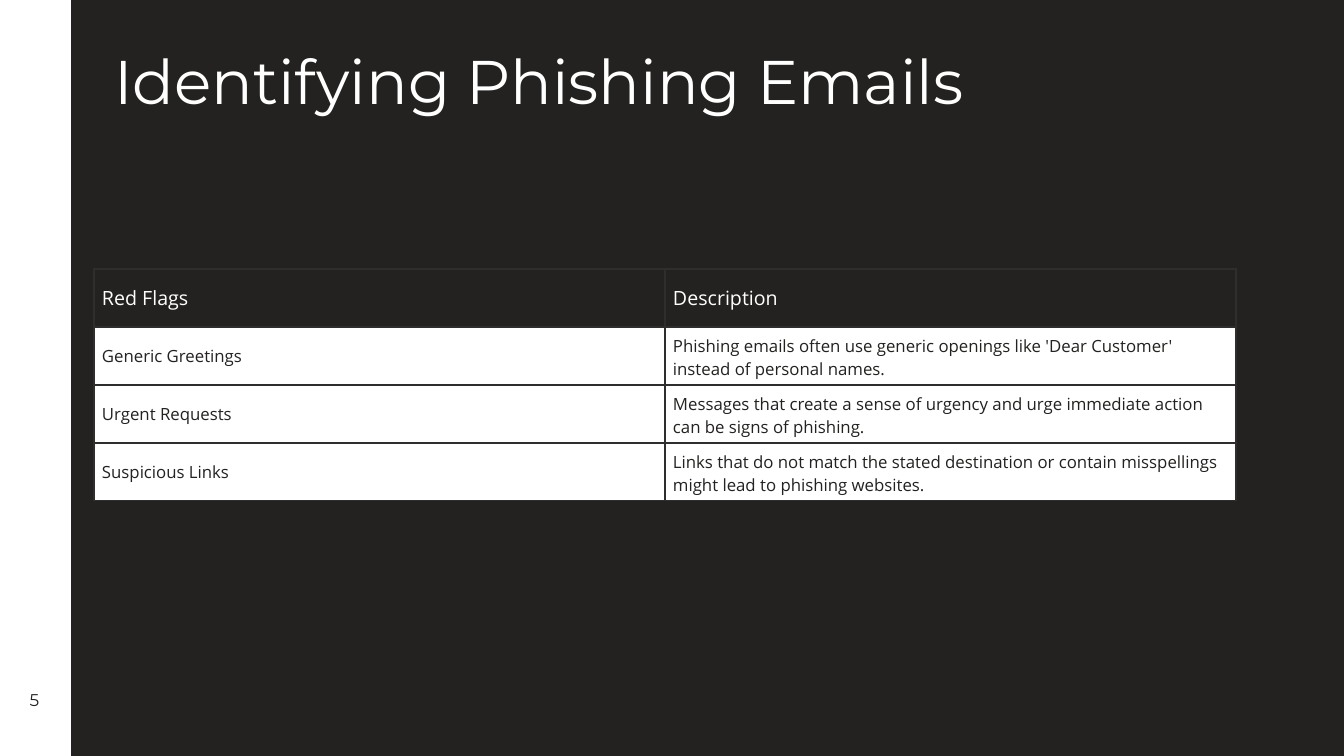
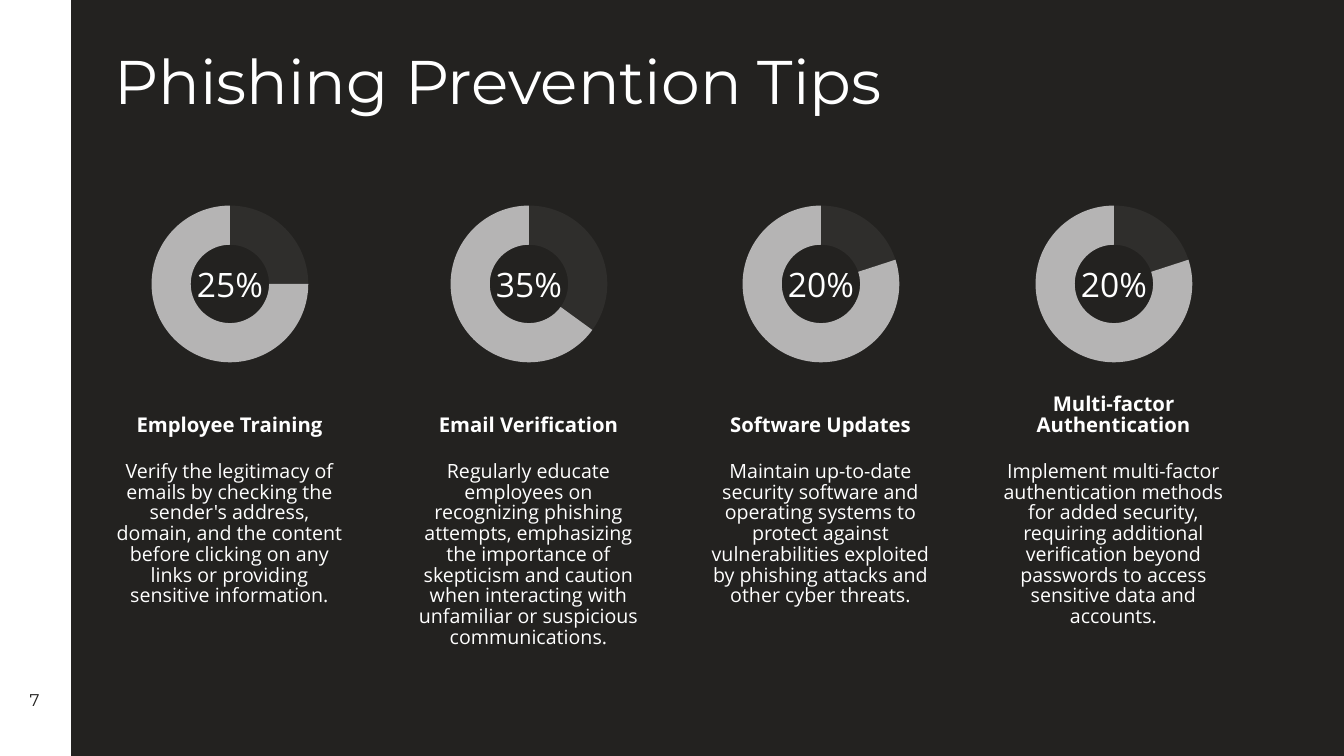
from dataclasses import dataclass

from pptx import Presentation
from pptx.chart.data import CategoryChartData
from pptx.dml.color import RGBColor
from pptx.enum.chart import XL_CHART_TYPE
from pptx.enum.shapes import MSO_CONNECTOR, MSO_SHAPE
from pptx.enum.text import MSO_ANCHOR, PP_ALIGN
from pptx.oxml import parse_xml
from pptx.oxml.ns import nsdecls, qn
from pptx.util import Emu, Pt

DOUGHNUT = XL_CHART_TYPE.DOUGHNUT
STRAIGHT = MSO_CONNECTOR.STRAIGHT
RECTANGLE = MSO_SHAPE.RECTANGLE
TOP, MIDDLE, BOTTOM = MSO_ANCHOR.TOP, MSO_ANCHOR.MIDDLE, MSO_ANCHOR.BOTTOM
LEFT, CENTER = PP_ALIGN.LEFT, PP_ALIGN.CENTER


@dataclass(frozen=True)
class Theme:
    dark: str = "232220"
    light: str = "FFFFFF"
    border: str = "2F2E2C"
    share: str = "2F2E2C"
    remainder: str = "B5B4B4"
    heading_font: str = "Montserrat"
    body_font: str = "Open Sans"
    title_size: float = 44
    percent_size: float = 24
    tip_size: float = 14.5
    body_size: float = 14
    cell_size: float = 12
    number_size: float = 12.1
    chart_size: float = 10


THEME = Theme()
WIDTH, HEIGHT = 1344, 756
SCALE = 12192000 / WIDTH
BAND_WIDTH = 70


def px(*lengths):
    return [Emu(round(length * SCALE)) for length in lengths]


def write(frame, text, size, color=THEME.light, font=THEME.body_font,
          bold=False, align=LEFT, anchor=TOP, spacing=1.0):
    frame.word_wrap = True
    frame.vertical_anchor = anchor
    paragraph = frame.paragraphs[0]
    paragraph.alignment = align
    paragraph.line_spacing = spacing
    run = paragraph.add_run()
    run.text = text
    run.font.size = Pt(size)
    run.font.name = font
    run.font.bold = bold
    run.font.color.rgb = RGBColor.from_string(color)


prs = Presentation()
prs.slide_width, prs.slide_height = px(WIDTH, HEIGHT)
background = prs.slide_master.background.fill
background.solid()
background.fore_color.rgb = RGBColor.from_string(THEME.dark)

slides = []
for title, number in [("Identifying Phishing Emails", "5"), ("Phishing Prevention Tips", "7")]:
    slide = prs.slides.add_slide(prs.slide_layouts[5])
    slides.append(slide)

    band = slide.shapes.add_shape(RECTANGLE, *px(0, 0, BAND_WIDTH, HEIGHT))
    band.shadow.inherit = False
    band.fill.solid()
    band.fill.fore_color.rgb = RGBColor.from_string(THEME.light)
    band.line.fill.background()

    edge = slide.shapes.add_connector(STRAIGHT, *px(BAND_WIDTH, 0, BAND_WIDTH, HEIGHT))
    edge.line.color.rgb = RGBColor.from_string(THEME.light)
    edge.line.width = Pt(1.5)
    edge.element.spPr.append(parse_xml(f"<a:effectLst {nsdecls('a')}/>"))

    heading = slide.shapes.title
    heading.left, heading.top, heading.width, heading.height = px(104, 33, 1135, 94)
    write(heading.text_frame, title, THEME.title_size, font=THEME.heading_font, anchor=MIDDLE)

    page = slide.shapes.add_textbox(*px(0, 680, 69, 39))
    write(page.text_frame, number, THEME.number_size, color=THEME.dark,
          font=THEME.heading_font, align=CENTER, anchor=MIDDLE)

emails_slide, tips_slide = slides

red_flags = [
    ("Red Flags", "Description"),
    ("Generic Greetings",
     "Phishing emails often use generic openings like 'Dear Customer' instead of personal names."),
    ("Urgent Requests",
     "Messages that create a sense of urgency and urge immediate action can be signs of phishing."),
    ("Suspicious Links",
     "Links that do not match the stated destination or contain misspellings might lead to "
     "phishing websites."),
]
flag_table = emails_slide.shapes.add_table(len(red_flags), 2, *px(94, 269, 1142, 232)).table
flag_table.first_row = False
flag_table.horz_banding = False
for row, texts in enumerate(red_flags):
    if row == 0:
        fill, ink, size = THEME.dark, THEME.light, THEME.body_size
    else:
        fill, ink, size = THEME.light, THEME.dark, THEME.cell_size
    for column, text in enumerate(texts):
        cell = flag_table.cell(row, column)
        cell.margin_left, cell.margin_right, cell.margin_top, cell.margin_bottom = px(8, 8, 8, 8)
        write(cell.text_frame, text, size, color=ink)
        cell.vertical_anchor = MIDDLE
        cell.fill.solid()
        cell.fill.fore_color.rgb = RGBColor.from_string(fill)
        properties = cell._tc.get_or_add_tcPr()
        for position, side in enumerate(("lnL", "lnR", "lnT", "lnB")):
            properties.insert(position, parse_xml(
                f'<a:{side} {nsdecls("a")} w="{Pt(1)}"><a:solidFill>'
                f'<a:srgbClr val="{THEME.border}"/></a:solidFill></a:{side}>'))

tips = [
    (230, 25, "Employee Training",
     "Verify the legitimacy of emails by checking the sender's address, domain, and the content "
     "before clicking on any links or providing sensitive information."),
    (529, 35, "Email Verification",
     "Regularly educate employees on recognizing phishing attempts, emphasizing the importance of "
     "skepticism and caution when interacting with unfamiliar or suspicious communications."),
    (821, 20, "Software Updates",
     "Maintain up-to-date security software and operating systems to protect against "
     "vulnerabilities exploited by phishing attacks and other cyber threats."),
    (1114, 20, "Multi-factor Authentication",
     "Implement multi-factor authentication methods for added security, requiring additional "
     "verification beyond passwords to access sensitive data and accounts."),
]
for center, percent, tip, advice in tips:
    data = CategoryChartData()
    data.categories = ["1", "2"]
    data.add_series("Series 1", (percent, 100 - percent))
    ring = tips_slide.shapes.add_chart(DOUGHNUT, *px(center - 112, 192, 224, 184), data).chart
    ring.has_legend = False
    ring.has_title = False
    ring.font.size = Pt(THEME.chart_size)
    ring.font.name = THEME.body_font
    ring.font.color.rgb = RGBColor.from_string(THEME.light)
    plot = ring.plots[0]
    plot.vary_by_categories = True
    plot.has_data_labels = False
    for index, color in enumerate((THEME.share, THEME.remainder)):
        part = plot.series[0].points[index].format
        part.fill.solid()
        part.fill.fore_color.rgb = RGBColor.from_string(color)
        part.line.fill.background()

    plot_area = ring.element.find(".//" + qn("c:plotArea"))
    for automatic in plot_area.findall(qn("c:layout")):
        plot_area.remove(automatic)
    plot_area.insert(0, parse_xml(
        f'<c:layout {nsdecls("c")}><c:manualLayout><c:layoutTarget val="inner"/>'
        '<c:xMode val="edge"/><c:yMode val="edge"/><c:x val="0.15"/><c:y val="0.07"/>'
        '<c:w val="0.7"/><c:h val="0.86"/></c:manualLayout></c:layout>'))
    plot_area.find(".//" + qn("c:holeSize")).set("val", "90")

    share_label = tips_slide.shapes.add_textbox(*px(center - 50, 259, 100, 50))
    write(share_label.text_frame, f"{percent}%", THEME.percent_size, align=CENTER, anchor=MIDDLE)
    tip_heading = tips_slide.shapes.add_textbox(*px(center - 126, 391, 251, 51))
    write(tip_heading.text_frame, tip, THEME.tip_size, bold=True,
          align=CENTER, anchor=BOTTOM, spacing=0.88)
    tip_advice = tips_slide.shapes.add_textbox(*px(center - 126, 457, 251, 263))
    write(tip_advice.text_frame, advice, THEME.body_size, align=CENTER, spacing=0.88)

prs.save("out.pptx")
